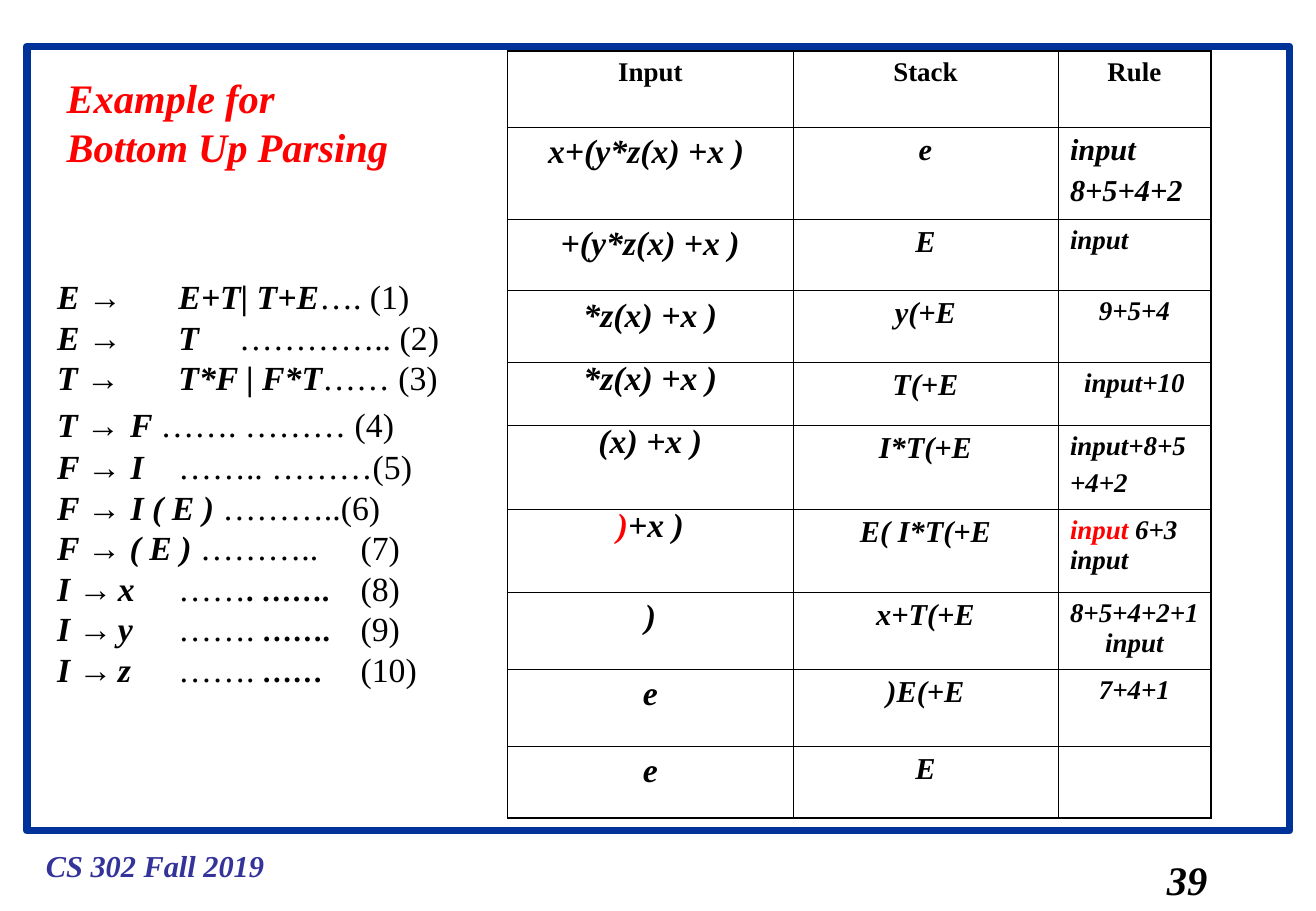
from lxml.etree import SubElement
from pptx import Presentation
from pptx.dml.color import RGBColor
from pptx.enum.shapes import MSO_SHAPE
from pptx.enum.text import MSO_ANCHOR, MSO_AUTO_SIZE, PP_ALIGN
from pptx.oxml.ns import qn
from pptx.util import Cm, Pt

SERIF = "Times New Roman"
BLACK, RED = "000000", "FF0000"


def set_font(font, size, color=BLACK, bold=True, italic=True, name=SERIF):
    font.name, font.size, font.bold, font.italic = name, Pt(size), bold, italic
    font.color.rgb = RGBColor.from_string(color)


def set_border(cell, side, width):
    """Draw one black cell edge; side is L, R, T or B."""
    line = SubElement(cell._tc.get_or_add_tcPr(), qn(f"a:ln{side}"), w=str(Pt(width)))
    solid = SubElement(line, qn("a:solidFill"))
    SubElement(solid, qn("a:srgbClr"), val=BLACK)


deck = Presentation()
deck.slide_width, deck.slide_height = Cm(27.53), Cm(19.05)
page = deck.slides.add_slide(deck.slide_layouts[1])
title, grammar = page.placeholders

# Frame
frame = page.shapes.add_shape(MSO_SHAPE.RECTANGLE, Cm(0.56), Cm(0.97), Cm(26.42), Cm(16.4))
frame.shadow.inherit = False
frame.fill.background()
frame.line.color.rgb = RGBColor.from_string("003399")
frame.line.width = Pt(4.5)

# Title and grammar placeholders
for holder, left, top, width, height in (
    (title, 1.14, 1.4, 7.8, 2.29),
    (grammar, 0.94, 5.64, 9.42, 9.75),
):
    holder.left, holder.top, holder.width, holder.height = Cm(left), Cm(top), Cm(width), Cm(height)
    holder.text_frame.auto_size = MSO_AUTO_SIZE.NONE
    holder.text_frame.vertical_anchor = MSO_ANCHOR.TOP

title.text_frame.text = "Example for\nBottom Up Parsing"
for para in title.text_frame.paragraphs:
    para.alignment = PP_ALIGN.LEFT
    set_font(para.font, 24, RED)

# Grammar rules: tab stops in cm, then spans of text and style
styles = {
    "symbol": dict(size=20),
    "arrow": dict(size=20, name="Arial"),
    "plain": dict(size=20, bold=False, italic=False),
    "wide": dict(size=24, bold=False, italic=False),
    "dots": dict(size=18),
    "upright dots": dict(size=18, italic=False),
}
rules = [
    ((1.72,), "E ", "→\t", ("E+T| T+E", "symbol"), ("…. (1)", "plain")),
    ((1.72, 2.7), "E ", "→\t", ("T\t", "symbol"), ("………….. (2)", "plain")),
    ((1.7,), "T ", "→\t", ("T*F | F*T", "symbol"), ("…… (3)", "plain")),
    ((), "T ", "→", (" ", "wide"), ("F ", "symbol"), ("……. ……… (4)", "plain")),
    ((2.2,), "F ", "→ ", ("I\t", "symbol"), ("…….. ………(5)", "plain")),
    ((), "F ", "→ ", ("I ( E ) ", "symbol"), ("………..(6)", "plain")),
    ((5.84,), "F ", "→", (" ( E ) ", "symbol"), ("………..\t(7)", "plain")),
    ((1.55, 2.24, 5.71), "I ", "→\t", ("x\t", "symbol"), ("……", "plain"),
     (". …….\t", "upright dots"), ("(8)", "plain")),
    ((1.55, 2.22, 5.73), "I ", "→\t", ("y\t", "symbol"), ("……. ", "plain"),
     ("…….\t", "dots"), ("(9)", "plain")),
    ((1.55, 2.2, 5.53), "I ", "→\t", ("z\t", "symbol"), ("……. ", "plain"),
     ("……\t", "dots"), ("(10)", "plain")),
]
for number, (stops, left_side, arrow, *right_side) in enumerate(rules):
    body = grammar.text_frame
    para = body.add_paragraph() if number else body.paragraphs[0]
    para.space_before = Pt(0)
    properties = para._p.get_or_add_pPr()
    properties.set("marL", "0")
    properties.set("indent", "0")
    SubElement(properties, qn("a:buNone"))
    if stops:
        tabs = SubElement(properties, qn("a:tabLst"))
        for stop in stops:
            SubElement(tabs, qn("a:tab"), pos=str(Cm(stop)), algn="l")
    for text, style in ((left_side, "symbol"), (arrow, "arrow"), *right_side):
        span = para.add_run()
        span.text = text
        set_font(span.font, **styles[style])

# Parsing trace
trace = [
    ("Input", "Stack", "Rule"),
    ("x+(y*z(x) +x ) ", "e", "input\n8+5+4+2"),
    ("+(y*z(x) +x )", "E", "input"),
    ("*z(x) +x )", "y(+E", "9+5+4"),
    ("*z(x) +x )", "T(+E", "input+10"),
    ("(x) +x )", "I*T(+E", "input+8+5\n+4+2"),
    (")+x )", "E( I*T(+E", "input 6+3 input"),
    (")", "x+T(+E", "8+5+4+2+1 input"),
    ("e", ")E(+E", "7+4+1"),
    ("e", "E", ""),
]
row_heights = (1.59, 1.93, 1.49, 1.49, 1.32, 1.76, 1.74, 1.61, 1.61, 1.49)
column_widths = (5.97, 5.54, 3.2)
column_sizes = (20, 18, 16)
left_rules = (1, 2, 5, 6)
tight_inputs = (4, 5, 6)
red_starts = {(6, 0): ")", (6, 2): "input"}
last_row, last_column = len(trace) - 1, len(column_widths) - 1

table = page.shapes.add_table(
    len(trace), len(column_widths), Cm(10.62), Cm(1.07),
    Cm(sum(column_widths)), Cm(sum(row_heights)),
).table
table.first_row = table.horz_banding = False
for column, width in zip(table.columns, column_widths):
    column.width = Cm(width)
for row, height in zip(table.rows, row_heights):
    row.height = Cm(height)

for r, texts in enumerate(trace):
    for c, text in enumerate(texts):
        cell = table.cell(r, c)
        outer_edges = {"L": c == 0, "R": c == last_column, "T": r == 0, "B": r == last_row}
        for side, outer in outer_edges.items():
            set_border(cell, side, 1.08 if outer else 0.45)
        cell.fill.background()
        size = 16 if r == 0 else 18 if r == 1 and c == 2 else column_sizes[c]
        cell.text_frame.text = text
        for number, para in enumerate(cell.text_frame.paragraphs):
            left_aligned = c == 2 and r in left_rules
            para.alignment = PP_ALIGN.LEFT if left_aligned else PP_ALIGN.CENTER
            if number:
                para.space_before = Pt(size / 4)
            if c == 0 and r in tight_inputs:
                para.line_spacing = 0.75
            set_font(para.font, size, italic=r > 0)
        if (r, c) in red_starts:
            start = red_starts[r, c]
            para = cell.text_frame.paragraphs[0]
            para.runs[0].text = start
            para.runs[0].font.color.rgb = RGBColor.from_string(RED)
            para.add_run().text = text.removeprefix(start)

# Footer and page number
for text, left, top, width, height, size, color in (
    ("CS 302 Fall 2019", 0.71, 17.6, 5.08, 1.02, 18, "333399"),
    ("39", 24.16, 17.75, 1.35, 1.27, 24, BLACK),
):
    box = page.shapes.add_textbox(Cm(left), Cm(top), Cm(width), Cm(height))
    box.text_frame.word_wrap = False
    box.text_frame.text = text
    set_font(box.text_frame.paragraphs[0].font, size, color)

deck.save("out.pptx")
